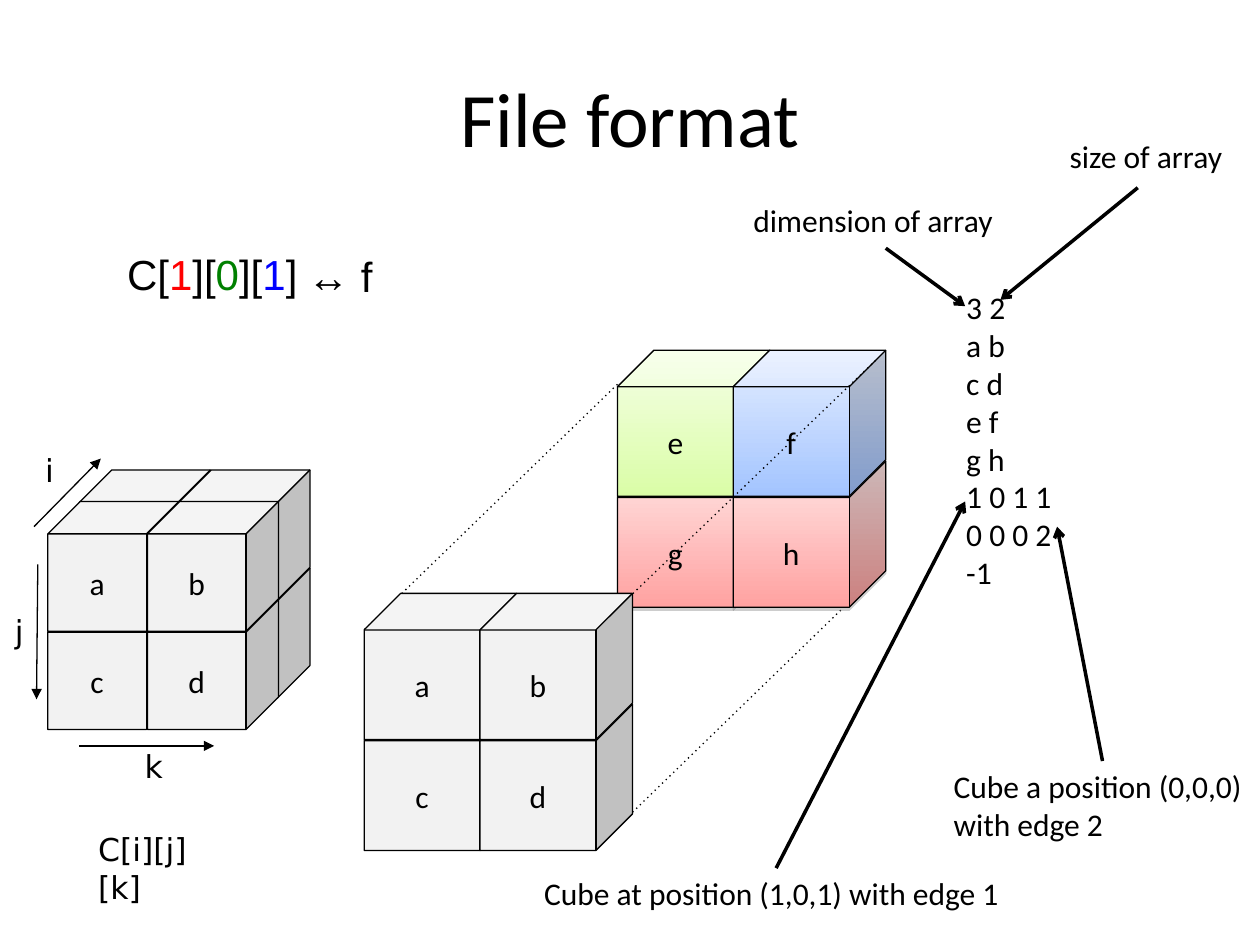
import pptx
import pptx.util
import pptx.dml.color
import pptx.enum.dml
import pptx.enum.shapes
import pptx.enum.text
import pptx.oxml
import pptx.oxml.ns
from pptx.util import Inches


class Theme:
    black = pptx.dml.color.RGBColor.from_string("000000")
    index_colors = ["FF0000", "008000", "0000FF"]
    gray = ["F2F2F2"]
    red = ["FFE5E5", "FFA2A1"]
    green = ["F5FFE6", "DAFDA7"]
    blue = ["E5EEFF", "A3C4FF"]
    font, code_font, axis_font = "Calibri", "Arial", "DejaVu Sans"
    title_size, code_size, text_size = map(pptx.util.Pt, (44, 24, 18))
    thin, thick = pptx.util.Pt(0.75), pptx.util.Pt(2)


SHADOW = (
    '<a:outerShdw xmlns:a="http://schemas.openxmlformats.org/drawingml/2006/main"'
    ' dist="20000" dir="5400000" rotWithShape="0">'
    '<a:srgbClr val="808080"><a:alpha val="38000"/></a:srgbClr></a:outerShdw>'
)

presentation = pptx.Presentation()
presentation.slide_width, presentation.slide_height = Inches(10), Inches(7.5)
slide = presentation.slides.add_slide(presentation.slide_layouts[5])


def add_text(left, top, width, height, lines, font=Theme.font, size=Theme.text_size):
    """Add a text box with one paragraph per line and return its frame."""
    box = slide.shapes.add_textbox(Inches(left), Inches(top), Inches(width), Inches(height))
    frame = box.text_frame
    frame.word_wrap = False
    frame.text = "\n".join(lines)
    for paragraph in frame.paragraphs:
        paragraph.font.name, paragraph.font.size = font, size
        paragraph.font.color.rgb = Theme.black
    return frame


def add_line(start, end, width=Theme.thin, head=None, dotted=False):
    """Add a straight line, with an arrowhead at its end if one is named."""
    line = slide.shapes.add_connector(
        pptx.enum.shapes.MSO_CONNECTOR.STRAIGHT, *map(Inches, start + end))
    line.line.color.rgb, line.line.width = Theme.black, width
    properties = line.element.spPr
    outline = properties.find(pptx.oxml.ns.qn("a:ln"))
    if dotted:
        line.line.dash_style = pptx.enum.dml.MSO_LINE.ROUND_DOT
        # The wider spaced "dot" pattern has no python-pptx name
        outline.find(pptx.oxml.ns.qn("a:prstDash")).set("val", "dot")
    if head:
        tail = pptx.oxml.parse_xml(
            '<a:tailEnd xmlns:a="http://schemas.openxmlformats.org/drawingml/2006/main"/>')
        tail.set("type", head)
        outline.append(tail)
    properties.append(properties.makeelement(pptx.oxml.ns.qn("a:effectLst"), {}))


# Title
title = slide.shapes.title
title.left, title.top, title.width, title.height = map(Inches, (0.5, 0.3, 9, 1.25))
title.text_frame.text = "File format"
title.text_frame.vertical_anchor = pptx.enum.text.MSO_ANCHOR.MIDDLE
paragraph = title.text_frame.paragraphs[0]
paragraph.alignment = pptx.enum.text.PP_ALIGN.CENTER
paragraph.font.name, paragraph.font.size = Theme.font, Theme.title_size
paragraph.font.color.rgb = Theme.black

# File contents, in a box wide enough for the longest line
add_text(7.57, 2.24, 0.95, 2.5,
         ["3 2", "a b", "c d", "e f", "g h", "1 0 1 1", "0 0 0 2", "-1"])

# Explanations, each with an arrow into the file
for box, lines, start, end in [
    ((7.47, 6.04, 2.54, 0.7), ["Cube a position (0,0,0)", "with edge 2"], (8.75, 6.04), (8.39, 4.18)),
    ((4.22, 6.89, 3.87, 0.4), ["Cube at position (1,0,1) with edge 1"], (6.16, 6.89), (7.66, 3.98)),
    ((8.39, 1.04, 1.42, 0.4), ["size of array"], (9.03, 1.49), (7.94, 2.38)),
    ((5.88, 1.55, 2.11, 0.4), ["dimension of array"], (7.03, 1.97), (7.66, 2.43)),
]:
    add_text(*box, lines)
    add_line(start, end, Theme.thick, "arrow")

# Outer guides between the two layers
add_line((4.9, 3.05), (2.89, 5), dotted=True)
add_line((6.82, 4.7), (4.81, 6.65), dotted=True)

# Cubes of the three blocks: left, top, width, height, label, fill colors
cubes = []
for row in (1, 0):
    for column in (0, 1):
        left, top = 0.38 + 0.79 * column, 3.98 + 0.78 * row
        label = "abcd"[2 * row + column]
        cubes.append((left + 0.25, top - 0.25, 1.04, 1.03, "", Theme.gray))
        cubes.append((left, top, 1.04, 1.03, label, Theme.gray))

back_fills = [Theme.green, Theme.blue, Theme.red, Theme.red]
for block_left, block_top, labels, fills in [
    (4.9, 2.78, "efgh", back_fills),
    (2.89, 4.71, "abcd", [Theme.gray] * 4),
]:
    for row in (1, 0):
        for column in (0, 1):
            index = 2 * row + column
            cubes.append((block_left + 0.92 * column, block_top + 0.88 * row,
                          1.21, 1.16, labels[index], fills[index]))

for left, top, width, height, label, colors in cubes:
    shape = slide.shapes.add_shape(
        pptx.enum.shapes.MSO_SHAPE.CUBE, *map(Inches, (left, top, width, height)))
    shape.adjustments[0] = 0.25
    shape.shadow.inherit = False
    shape.line.color.rgb, shape.line.width = Theme.black, Theme.thin
    if len(colors) == 1:
        shape.fill.solid()
        shape.fill.fore_color.rgb = pptx.dml.color.RGBColor.from_string(colors[0])
    else:
        shape.fill.gradient()
        shape.fill.gradient_angle = 270
        for position, (stop, color) in enumerate(zip(shape.fill.gradient_stops, colors)):
            stop.position = position
            stop.color.rgb = pptx.dml.color.RGBColor.from_string(color)
    if colors == Theme.red:
        effects = shape.element.spPr.find(pptx.oxml.ns.qn("a:effectLst"))
        effects.append(pptx.oxml.parse_xml(SHADOW))
    if label:
        frame = shape.text_frame
        frame.text = label
        frame.vertical_anchor = pptx.enum.text.MSO_ANCHOR.MIDDLE
        paragraph = frame.paragraphs[0]
        paragraph.alignment = pptx.enum.text.PP_ALIGN.CENTER
        paragraph.font.name, paragraph.font.size = Theme.font, Theme.text_size
        paragraph.font.color.rgb = Theme.black
    # The inner guide crosses the finished back layer, behind the front one
    if label == "f":
        add_line((6.95, 2.86), (4.93, 4.8), dotted=True)

# Axes of the small block
for name, box, start, end in [
    ("i", (0.26, 3.53, 0.26, 0.4), (0.27, 4.18), (0.8, 3.64)),
    ("j", (0.02, 4.81, 0.26, 0.4), (0.3, 4.48), (0.29, 5.55)),
    ("k", (1.05, 5.88, 0.33, 0.4), (0.63, 5.92), (1.7, 5.92)),
]:
    add_text(*box, [name], Theme.axis_font)
    add_line(start, end, head="triangle")
add_text(0.68, 6.54, 1.11, 0.4, ["C[i][j][k]"], Theme.axis_font).word_wrap = True

# Indexing example with one color per axis
frame = add_text(0.91, 1.92, 1.55, 0.5, [""], Theme.code_font, Theme.code_size)
paragraph = frame.paragraphs[0]
red, green, blue = Theme.index_colors
for text, color in [("C[", None), ("1", red), ("][", None), ("0", green),
                    ("][", None), ("1", blue), ("]", None)]:
    run = paragraph.add_run()
    run.text = text
    if color:
        run.font.color.rgb = pptx.dml.color.RGBColor.from_string(color)
add_text(2.34, 1.94, 0.72, 0.5, ["↔ f"], Theme.code_font, Theme.code_size)

presentation.save("out.pptx")
